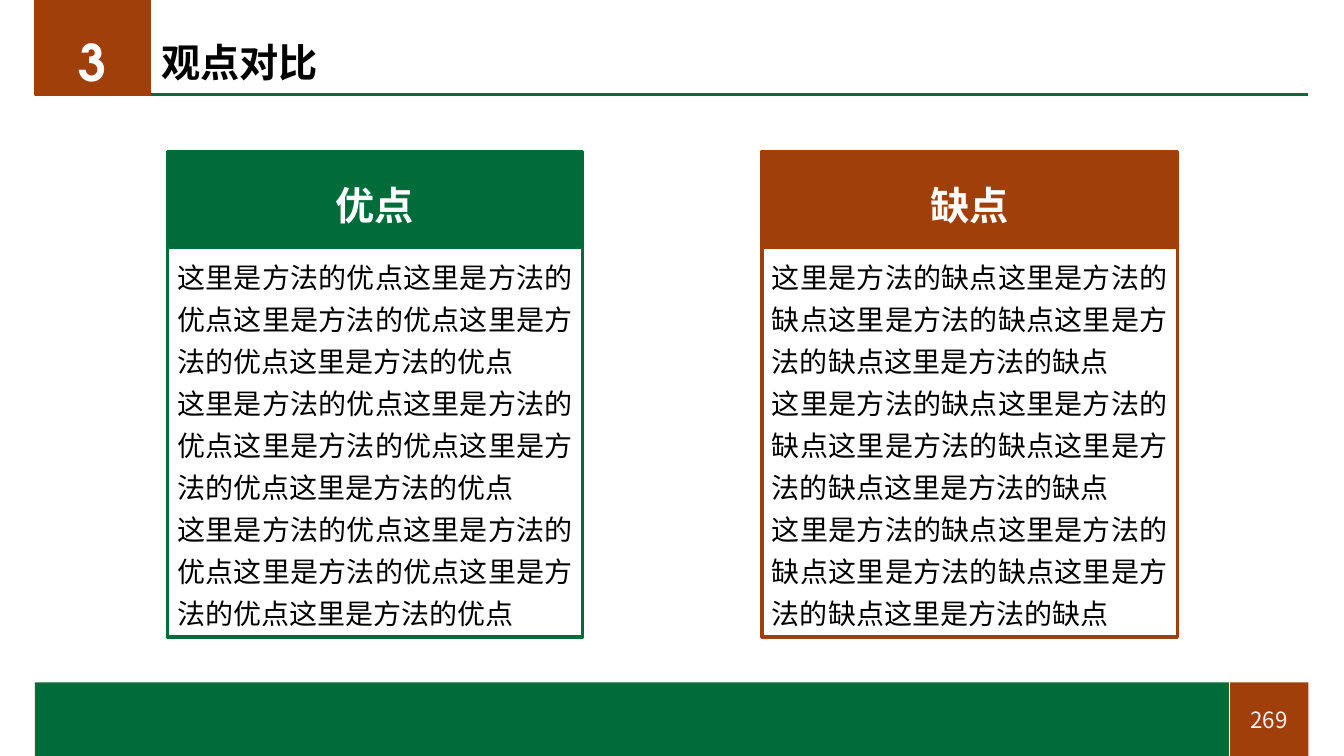
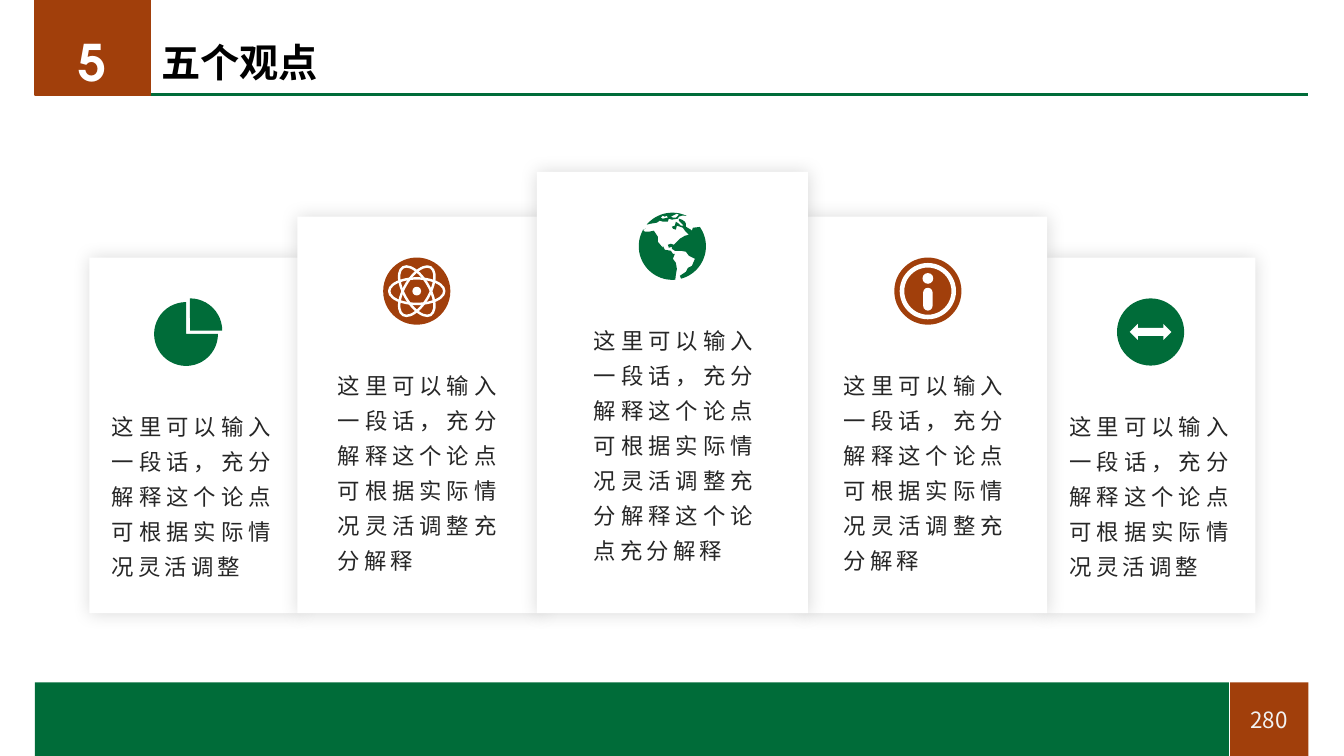
from math import cos, radians, sin

from lxml import etree
from pptx import Presentation
from pptx import util as u
from pptx.dml.color import RGBColor
from pptx.enum import shapes, text
from pptx.oxml.ns import qn

WIDTH, HEIGHT = u.Inches(13.333), u.Inches(7.5)
GREEN = RGBColor(0x00, 0x6C, 0x39)
RUST = RGBColor(0xA1, 0x3F, 0x0B)
WHITE = RGBColor(0xFF, 0xFF, 0xFF)
BLACK = RGBColor(0x00, 0x00, 0x00)
INK = RGBColor(0x26, 0x26, 0x26)
PALE = RGBColor(0xF2, 0xF2, 0xF2)
HAN = "Noto Sans CJK SC"
FORM = shapes.MSO_SHAPE
ALIGN = text.PP_ALIGN
MIDDLE = text.MSO_ANCHOR.MIDDLE

# Frame, in percent of the slide's width or height
LEFT, RIGHT = 2.6, 97.35
BADGE_W, BADGE_H = 8.6, 12.6
FOOTER_TOP, DIVIDER = 90.27, 91.5
ICON = WIDTH // 20
GLOBE_GRID = 67

TITLE = dict(size=u.Pt(28), bold=True, name=HAN)
PANEL_HEAD = dict(size=u.Pt(28), bold=True, name="Arial")
SECTION = dict(size=u.Pt(36), bold=True, name="TeX Gyre Adventor")
PAGE = dict(size=u.Pt(16), name=HAN)
PANEL_BODY = dict(size=u.Pt(20), name=HAN)
CARD_BODY = dict(size=u.Pt(16), name=HAN)


def x(share):
    return round(WIDTH * share / 100)


def y(share):
    return round(HEIGHT * share / 100)


def area(left, top, width, height):
    return x(left), y(top), x(width), y(height)


def apply(target, values):
    for name, value in values.items():
        setattr(target, name, value)


def paint(shape, fill=None, line=None, weight=1):
    shape.shadow.inherit = False
    if fill is None:
        shape.fill.background()
    else:
        shape.fill.solid()
        shape.fill.fore_color.rgb = fill
    if line is None:
        shape.line.fill.background()
    else:
        shape.line.color.rgb = line
        shape.line.width = u.Pt(weight)
    return shape


def add_form(slide, form, box, fill=None, line=None, weight=1):
    return paint(slide.shapes.add_shape(form, *box), fill, line, weight)


def add_rule(slide, start, end, color, weight):
    rule = slide.shapes.add_connector(
        shapes.MSO_CONNECTOR.STRAIGHT, x(start[0]), y(start[1]), x(end[0]), y(end[1]))
    rule.line.color.rgb = color
    rule.line.width = u.Pt(weight)
    etree.SubElement(rule._element.spPr, qn("a:effectLst"))


def write(shape, lines, font, color, align=ALIGN.LEFT, anchor=text.MSO_ANCHOR.TOP,
          spacing=1.0, tracking=0, inset=None):
    frame = shape.text_frame
    apply(frame, dict(word_wrap=True, vertical_anchor=anchor))
    if inset is not None:
        apply(frame, dict.fromkeys(
            ("margin_left", "margin_top", "margin_right", "margin_bottom"), inset))
    for index, line in enumerate(lines):
        paragraph = frame.paragraphs[0] if index == 0 else frame.add_paragraph()
        apply(paragraph, dict(alignment=align, line_spacing=spacing))
        run = paragraph.add_run()
        run.text = line
        apply(run.font, font)
        run.font.color.rgb = color
        properties = run.font._element
        properties.find(qn("a:latin")).addnext(
            properties.makeelement(qn("a:ea"), {"typeface": HAN}))
        if tracking:
            properties.set("spc", str(tracking * 100))


def add_text(slide, box, line, font, color, **layout):
    write(slide.shapes.add_textbox(*box), [line], font, color, **layout)


# Header and footer shared by the slides
def add_framed_slide(deck, section, title, page):
    slide = deck.slides.add_slide(deck.slide_layouts[6])
    footer_h = 100 - FOOTER_TOP
    add_rule(slide, (LEFT + BADGE_W, 12.55), (RIGHT, 12.55), GREEN, 2.25)
    add_form(slide, FORM.RECTANGLE, area(DIVIDER, FOOTER_TOP, RIGHT - DIVIDER, footer_h), RUST)
    add_form(slide, FORM.RECTANGLE, area(LEFT, 0, BADGE_W, BADGE_H), RUST, RUST)
    add_form(slide, FORM.RECTANGLE, area(LEFT, FOOTER_TOP, DIVIDER - LEFT, footer_h), GREEN)
    add_text(slide, area(92.18, 92.67, 4.5, 4.93), page, PAGE, PALE,
             align=ALIGN.CENTER, anchor=MIDDLE)
    add_rule(slide, (DIVIDER, FOOTER_TOP), (DIVIDER, 100), WHITE, 1)
    add_text(slide, area(11.25, 5.07, 70.88, 7.07), title, TITLE, BLACK,
             anchor=MIDDLE, spacing=0.9)
    add_text(slide, area(2.92, 3.47, 7.95, 9.47), section, SECTION, WHITE,
             align=ALIGN.CENTER)
    return slide


# Comparison panel: coloured heading above an outlined body
def add_panel(slide, left, heading, color):
    width, top, head_h, body_h = 30.9, 20, 12.67, 51.6
    body = add_form(slide, FORM.RECTANGLE, area(left, top + head_h, width, body_h),
                    WHITE, color, 2.25)
    write(body, [f"这里是方法的{heading}" * 5] * 3, PANEL_BODY, BLACK,
          align=ALIGN.JUSTIFY, spacing=1.25)
    head = add_form(slide, FORM.RECTANGLE, area(left, top, width, head_h),
                    color, color, 2.25)
    write(head, [heading], PANEL_HEAD, WHITE, align=ALIGN.CENTER, anchor=MIDDLE,
          spacing=1.25)


# White card with a soft shadow all round
def add_card(slide, center, top, width):
    bottom = 81.1
    card = add_form(slide, FORM.RECTANGLE,
                    area(center - width / 2, top, width, bottom - top), WHITE)
    effects = card._element.spPr.find(qn("a:effectLst"))
    shadow = etree.SubElement(effects, qn("a:outerShdw"), blurRad=str(u.Pt(13)),
                              dist="0", dir="0", algn="ctr", rotWithShape="0")
    tint = etree.SubElement(shadow, qn("a:srgbClr"), val=str(BLACK))
    etree.SubElement(tint, qn("a:alpha"), val="15000")


# Icons: parts are placed by centre and size, as shares of the icon
def icon_box(corner, cx, cy, width, height):
    return (round(corner[0] + ICON * (cx - width / 2)),
            round(corner[1] + ICON * (cy - height / 2)),
            round(ICON * width), round(ICON * height))


def add_disc(slide, corner, color):
    add_form(slide, FORM.OVAL, icon_box(corner, 0.5, 0.5, 1, 1), color)


def draw_pie(slide, corner, color):
    for cx, cy, size, start, end in ((0.47, 0.53, 0.95, 0, 270), (0.53, 0.48, 0.96, 270, 0)):
        sector = add_form(slide, FORM.PIE, icon_box(corner, cx, cy, size, size), color)
        sector.adjustments[0] = start * 0.6
        sector.adjustments[1] = end * 0.6


def draw_atom(slide, corner, color):
    add_disc(slide, corner, color)
    for angle in (0, 60, 120):
        orbit = add_form(slide, FORM.OVAL, icon_box(corner, 0.5, 0.5, 0.82, 0.38),
                         line=WHITE, weight=1.75)
        orbit.rotation = angle
    add_form(slide, FORM.OVAL, icon_box(corner, 0.5, 0.5, 0.13, 0.13), WHITE)


def draw_info(slide, corner, color):
    add_disc(slide, corner, color)
    add_form(slide, FORM.OVAL, icon_box(corner, 0.5, 0.5, 0.77, 0.77), line=WHITE, weight=3.25)
    add_form(slide, FORM.OVAL, icon_box(corner, 0.5, 0.31, 0.16, 0.16), WHITE)
    stem = add_form(slide, FORM.ROUNDED_RECTANGLE,
                    icon_box(corner, 0.5, 0.62, 0.14, 0.34), WHITE)
    stem.adjustments[0] = 0.5


def draw_arrow(slide, corner, color):
    add_disc(slide, corner, color)
    add_form(slide, FORM.LEFT_RIGHT_ARROW, icon_box(corner, 0.5, 0.5, 0.62, 0.24), WHITE)


def rim(start, end):
    middle = GLOBE_GRID / 2
    return [(middle + middle * cos(radians(angle)), middle + middle * sin(radians(angle)))
            for angle in range(start, end + 1, 5)]


# Seas and islands of the globe; the land between them stays open
GLOBE = [
    [(7, 16), (4, 17), (6, 19), (10, 19), (15, 18), (19, 24), (19, 29), (24, 35),
     (24, 33), (26, 37), (32, 38), (34, 41), (36, 41), (34, 46), (37, 50), (38, 56),
     (37, 62)] + rim(85, 210),
    [(40, 6), (43, 7), (46, 9), (47, 11), (47, 14), (52, 17), (53, 18), (54, 15)]
    + rim(-35, 75)
    + [(41, 63), (47, 59), (49, 55), (53, 53), (56, 46), (50, 43), (47, 39), (42, 38),
       (36, 38), (33, 36), (33, 34), (30, 35), (29, 32), (32, 31), (35, 32), (37, 30),
       (41, 26), (46, 23), (50, 22), (46, 18), (44, 15), (38, 13), (37, 17), (34, 16),
       (33, 14), (36, 13), (37, 9), (40, 11), (42, 13), (45, 13), (43, 11), (40, 8)],
    [(43, 3), (40, 4), (39, 6), (33, 7), (30, 6), (29, 9), (24, 9), (21, 8),
     (18, 10), (12, 11)] + rim(220, 295),
    [(24, 3), (22, 5), (24, 6), (29, 5), (28, 3), (26, 4)],
    [(38, 1), (34, 3), (32, 4), (34, 5), (37, 5), (40, 2)],
]


def draw_globe(slide, corner, color):
    contours = [[(corner[0] + ICON * px / GLOBE_GRID, corner[1] + ICON * py / GLOBE_GRID)
                 for px, py in contour] for contour in GLOBE]
    outline = slide.shapes.build_freeform(*contours[0][0])
    for index, contour in enumerate(contours):
        if index:
            outline.move_to(*contour[0])
        outline.add_line_segments(contour[1:], close=True)
    paint(outline.convert_to_shape(), color)


def build_comparison(deck):
    slide = add_framed_slide(deck, "3", "观点对比", "269")
    for left, heading, color in ((12.45, "优点", GREEN), (56.7, "缺点", RUST)):
        add_panel(slide, left, heading, color)


def build_five_views(deck):
    slide = add_framed_slide(deck, "5", "五个观点", "280")
    outer_top, inner_top, middle_top, center = 34.07, 28.67, 22.73, 50.03
    for offset, top, width in ((35.5, outer_top, 15.75), (18.78, inner_top, 18.23)):
        for side in (-1, 1):
            add_card(slide, center + side * offset, top, width)
    add_card(slide, center, middle_top, 20.18)

    short = "这里可以输入一段话，充分解释这个论点可根据实际情况灵活调整"
    medium = short + "充分解释"
    full = medium + "这个论点充分解释"
    # Card top, icon centre, text left, text, number of lines, icon, colour
    views = (
        (outer_top, 13.99, 8.33, short, 5, draw_pie, GREEN),
        (inner_top, 31.01, 25.13, medium, 6, draw_atom, RUST),
        (middle_top, center, 44.18, full, 7, draw_globe, GREEN),
        (inner_top, 69.04, 62.78, medium, 6, draw_info, RUST),
        (outer_top, 85.61, 79.58, short, 5, draw_arrow, GREEN),
    )
    for top, icon_center, left, words, rows, draw_icon, color in views:
        draw_icon(slide, (x(icon_center) - ICON // 2, y(top + 5.4)), color)
        add_text(slide, area(left, top + 19.5, 12.15, rows * 4.6), words, CARD_BODY, INK,
                 align=ALIGN.JUSTIFY, spacing=1.3, tracking=3, inset=0)


def main():
    deck = Presentation()
    apply(deck, dict(slide_width=WIDTH, slide_height=HEIGHT))
    build_comparison(deck)
    build_five_views(deck)
    deck.save("out.pptx")


if __name__ == "__main__":
    main()
